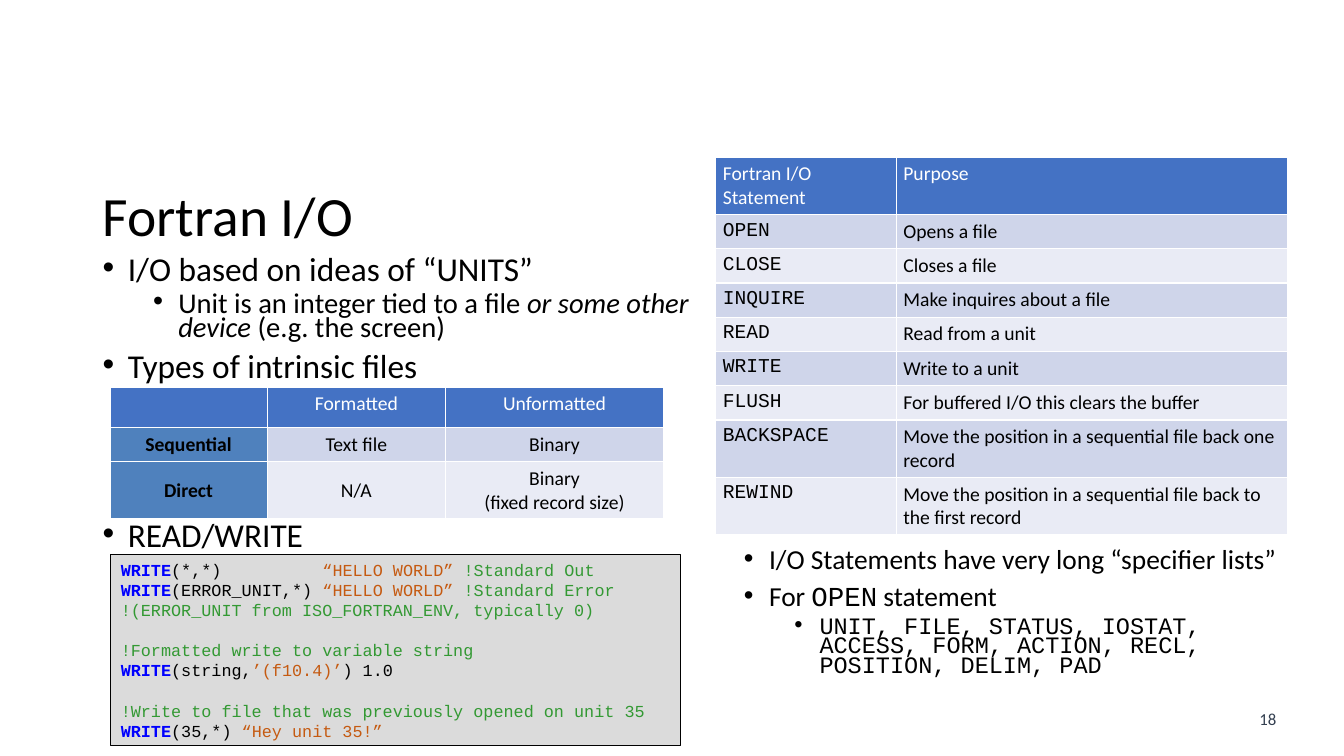
from lxml.etree import SubElement
from pptx import Presentation
from pptx.dml.color import RGBColor
from pptx.enum.shapes import MSO_SHAPE
from pptx.enum.text import MSO_ANCHOR, PP_ALIGN
from pptx.oxml.ns import qn
from pptx.util import Inches, Pt

BLACK = RGBColor(0x00, 0x00, 0x00)
WHITE = RGBColor(0xFF, 0xFF, 0xFF)
SLATE = RGBColor(0x33, 0x3F, 0x50)
HEADER = RGBColor(0x44, 0x72, 0xC4)
ROW_LABEL = RGBColor(0x4F, 0x81, 0xBD)
BANDS = [RGBColor(0xE9, 0xEB, 0xF5), RGBColor(0xCF, 0xD5, 0xEA)]
CODE_FILL = RGBColor(0xDB, 0xDB, 0xDB)
KEYWORD = RGBColor(0x00, 0x00, 0xFF)
STRING = RGBColor(0xC5, 0x5A, 0x11)
COMMENT = RGBColor(0x33, 0x99, 0x33)
SANS, MONO = "Calibri", "Courier New"

deck = Presentation()
deck.slide_width, deck.slide_height = Inches(13.33), Inches(7.5)
page = deck.slides.add_slide(deck.slide_layouts[6])
COLUMN, ROW = deck.slide_width / 100, deck.slide_height / 100
SINGLE, DOUBLE = 4.53, 7.6


def place(left, top, width, height):
    return int(left * COLUMN), int(top * ROW), int(width * COLUMN), int(height * ROW)


def write(para, text, size, color=BLACK, font=SANS, bold=False, italic=False):
    span = para.add_run()
    span.text = text
    span.font.size = Pt(size)
    span.font.name = font
    span.font.bold = bold
    span.font.italic = italic
    span.font.color.rgb = color


title = page.shapes.add_textbox(*place(6.9, 24.27, 86.27, 9.33)).text_frame
title.word_wrap = True
title.vertical_anchor = MSO_ANCHOR.MIDDLE
title.paragraphs[0].line_spacing = 0.9
write(title.paragraphs[0], "Fortran I/O", 39.6)

bullet_boxes = [
    ((6.9, 33.6, 46.36, 40.67), 23.8, 20.4, [
        (0, 0, [("I/O based on ideas of “UNITS”", SANS, False)]),
        (1, 5, [("Unit is an integer tied to a file ", SANS, False),
                ("or some other device", SANS, True),
                (" (e.g. the screen)", SANS, False)]),
        (0, 10, [("Types of intrinsic files", SANS, False)]),
        (0, 101, [("READ/WRITE", SANS, False)]),
    ]),
    ((54.61, 72.27, 42.54, 22), 19.6, 16.8, [
        (0, 0, [("I/O Statements have very long “specifier lists”", SANS, False)]),
        (0, 10, [("For ", SANS, False), ("OPEN", MONO, False), (" statement", SANS, False)]),
        (1, 5, [("UNIT, FILE, STATUS, IOSTAT, ACCESS, FORM, ACTION, RECL, "
                 "POSITION, DELIM, PAD", MONO, False)]),
    ]),
]
for area, main_size, sub_size, bullets in bullet_boxes:
    frame = page.shapes.add_textbox(*place(*area)).text_frame
    frame.word_wrap = True
    for index, (level, gap, spans) in enumerate(bullets):
        para = frame.add_paragraph() if index else frame.paragraphs[0]
        para.level = level
        properties = para._p.get_or_add_pPr()
        properties.set("marL", str(Inches(0.25 + 0.5 * level)))
        properties.set("indent", str(-Inches(0.25)))
        SubElement(properties, qn("a:buFont")).set("typeface", "Arial")
        SubElement(properties, qn("a:buChar")).set("char", "•")
        para.line_spacing = 0.7
        para.space_before = Pt(gap)
        for text, font, italic in spans:
            write(para, text, sub_size if level else main_size, font=font, italic=italic)

statements = [
    ("Fortran I/O Statement", "Purpose"),
    ("OPEN", "Opens a file"),
    ("CLOSE", "Closes a file"),
    ("INQUIRE", "Make inquires about a file"),
    ("READ", "Read from a unit"),
    ("WRITE", "Write to a unit"),
    ("FLUSH", "For buffered I/O this clears the buffer"),
    ("BACKSPACE", "Move the position in a sequential file back one record"),
    ("REWIND", "Move the position in a sequential file back to the first record"),
]
file_types = [
    ("", "Formatted", "Unformatted"),
    ("Sequential", "Text file", "Binary"),
    ("Direct", "N/A", "Binary\n(fixed record size)"),
]
tables = [
    (statements, 53.26, 20.8, [13.43, 29.11], [DOUBLE] + [SINGLE] * 6 + [DOUBLE] * 2, False),
    (file_types, 8.18, 51.2, [11.7, 13.28, 16.2], [SINGLE, SINGLE, DOUBLE], True),
]
for rows, left, top, widths, heights, centered in tables:
    area = place(left, top, sum(widths), sum(heights))
    table = page.shapes.add_table(len(rows), len(widths), *area).table
    for column, width in zip(table.columns, widths):
        column.width = int(width * COLUMN)
    for y, (row, height) in enumerate(zip(rows, heights)):
        table.rows[y].height = int(height * ROW)
        for x, text in enumerate(row):
            cell = table.cell(y, x)
            label = y > 0 and x == 0
            cell.fill.solid()
            cell.fill.fore_color.rgb = HEADER if y == 0 else BANDS[y % 2]
            para = cell.text_frame.paragraphs[0]
            if centered:
                para.alignment = PP_ALIGN.CENTER
                cell.vertical_anchor = MSO_ANCHOR.MIDDLE if y else MSO_ANCHOR.TOP
                if label:
                    cell.fill.fore_color.rgb = ROW_LABEL
            else:
                cell.margin_left = cell.margin_right = Inches(0.07)
            for index, line in enumerate(text.split("\n") if text else []):
                if index:
                    para.add_line_break()
                write(para, line, 14, BLACK if y else WHITE,
                      MONO if label and not centered else SANS, label and centered)

code_lines = [
    (0, [("WRITE", KEYWORD), ("(*,*)          ", BLACK), ("“HELLO WORLD” ", STRING),
         ("!Standard Out", COMMENT)]),
    (0, [("WRITE", KEYWORD), ("(ERROR_UNIT,*) ", BLACK), ("“HELLO WORLD” ", STRING),
         ("!Standard Error", COMMENT)]),
    (0, [("!(ERROR_UNIT from ISO_FORTRAN_ENV, typically 0)", COMMENT)]),
    (14.4, [("!Formatted write to variable string", COMMENT)]),
    (0, [("WRITE", KEYWORD), ("(string,", BLACK), ("’(f10.4)’", STRING), (") 1.0", BLACK)]),
    (14.4, [("!Write to file that was previously opened on unit 35", COMMENT)]),
    (0, [("WRITE", KEYWORD), ("(35,*) ", BLACK), ("“Hey unit 35!”", STRING)]),
]
code_box = page.shapes.add_shape(MSO_SHAPE.RECTANGLE, *place(8.25, 73.33, 42.39, 25.33))
code_box.shadow.inherit = False
code_box.fill.solid()
code_box.fill.fore_color.rgb = CODE_FILL
code_box.line.color.rgb = BLACK
code_box.line.width = Pt(0.75)
frame = code_box.text_frame
frame.word_wrap = True
frame.vertical_anchor = MSO_ANCHOR.TOP
for index, (gap, spans) in enumerate(code_lines):
    para = frame.add_paragraph() if index else frame.paragraphs[0]
    para.alignment = PP_ALIGN.LEFT
    para.space_before = Pt(gap)
    for text, color in spans:
        write(para, text, 12, color, MONO, color == KEYWORD)

number = page.shapes.add_textbox(*place(92.57, 93.07, 3.53, 4)).text_frame
number.word_wrap = True
number.paragraphs[0].alignment = PP_ALIGN.CENTER
write(number.paragraphs[0], "18", 12, SLATE)

deck.save("out.pptx")
